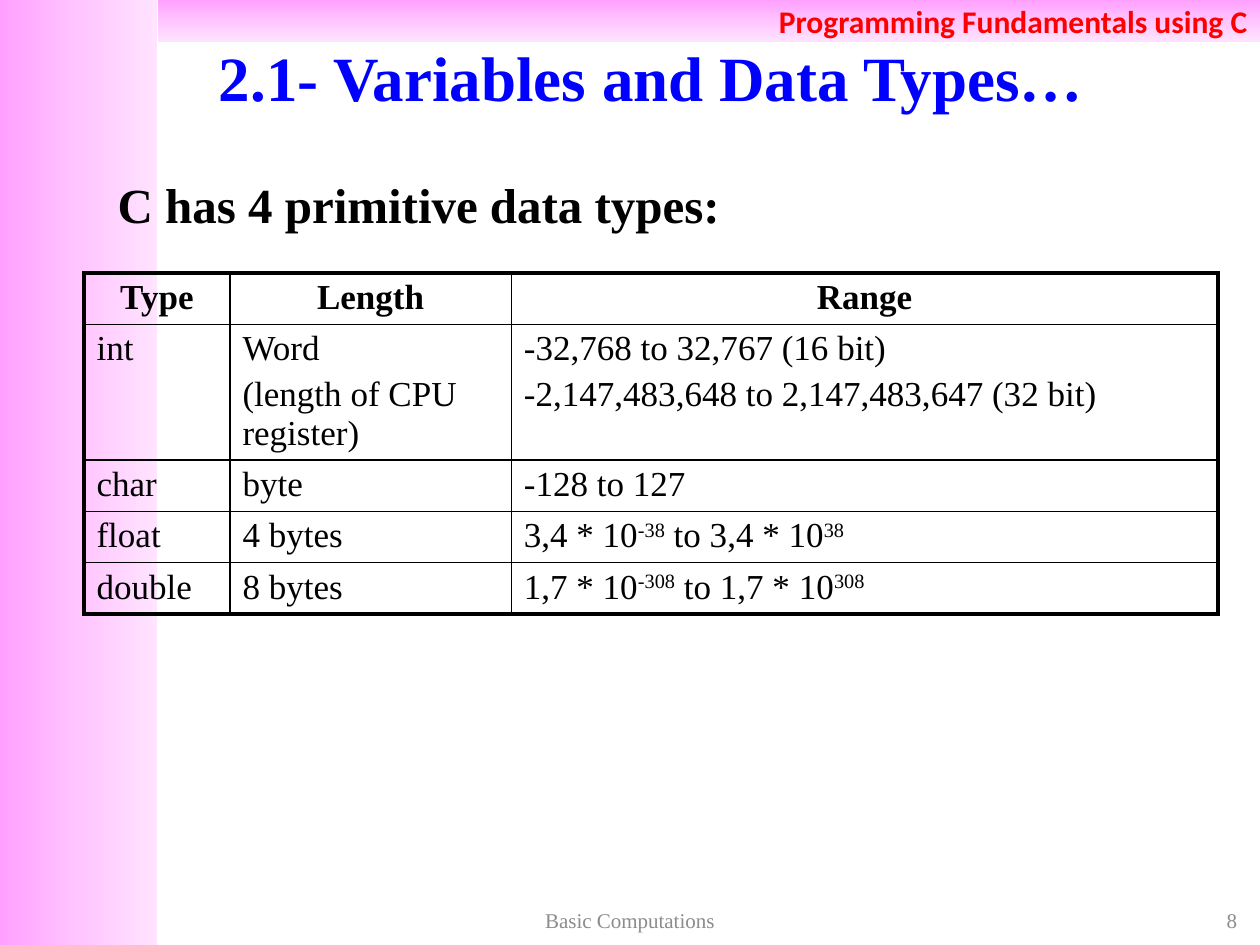
from copy import deepcopy
from dataclasses import dataclass

from lxml import etree
from pptx import Presentation
from pptx.dml.color import RGBColor
from pptx.enum.shapes import MSO_SHAPE
from pptx.enum.text import MSO_ANCHOR, MSO_AUTO_SIZE, PP_ALIGN
from pptx.oxml.ns import qn
from pptx.util import Emu, Inches, Pt

RECTANGLE = MSO_SHAPE.RECTANGLE
TOP, MIDDLE = MSO_ANCHOR.TOP, MSO_ANCHOR.MIDDLE
LEFT, CENTER = PP_ALIGN.LEFT, PP_ALIGN.CENTER
RIGHT, JUSTIFY = PP_ALIGN.RIGHT, PP_ALIGN.JUSTIFY
NO_AUTOFIT = MSO_AUTO_SIZE.NONE

GRID_COLUMNS = 120
SLIDE_WIDTH, SLIDE_HEIGHT = Inches(10), Inches(7.5)
SERIF, SANS = "Times New Roman", "Calibri"
BLACK, BLUE, RED, GREY = "000000", "0000FF", "FF0000", "8C8C8C"
PINKS = ("FFA0FF", "FFC5FF", "FFE3FF")
THIN, THICK = 1, 2.25
SUPERSCRIPT_MARK = "|"


@dataclass(frozen=True)
class Area:
    column: float
    row: float
    columns: float
    rows: float

    def lengths(self) -> tuple:
        return tuple(map(grid, (self.column, self.row, self.columns, self.rows)))


@dataclass(frozen=True)
class Style:
    size: float
    color: str
    align: int = LEFT
    bold: bool = False
    font: str = SERIF


@dataclass(frozen=True)
class Band:
    area: Area
    angle: int


@dataclass(frozen=True)
class Caption:
    text: str
    area: Area
    style: Style


BANDS = (
    Band(Area(0, 0, 15, 90), 0),
    Band(Area(15, 0, 105, 4), 270),
)
COURSE = Style(18, RED, RIGHT, True, SANS)
TITLE = Caption("2.1- Variables and Data Types…", Area(10, 3.6, 104, 7.4),
                Style(36, BLUE, CENTER, True))
INTRO = Caption("C has 4 primitive data types:", Area(10, 16, 103, 7),
                Style(28, BLACK, JUSTIFY, True))
FOOTERS = (
    Caption("Basic Computations", Area(41, 86, 38, 3.2), Style(12, GREY, CENTER)),
    Caption("8", Area(91, 86, 28, 3.2), Style(12, GREY, RIGHT)),
)
TYPE_COLUMNS = (13.9, 26.8, 67.3)
TYPE_ROWS = (4.9, 12.9, 4.9, 4.9, 4.9)
TYPE_AREA = Area(8, 26, sum(TYPE_COLUMNS), sum(TYPE_ROWS))
HEADING = Style(20, BLACK, CENTER, True)
ENTRY = Style(20, BLACK)
DATA_TYPES = (
    ("Type", "Length", "Range"),
    ("int", "Word\n(length of CPU register)",
     "-32,768 to 32,767 (16 bit)\n-2,147,483,648 to 2,147,483,647 (32 bit)"),
    ("char", "byte", "-128 to 127"),
    ("float", "4 bytes", "3,4 * 10|-38| to 3,4 * 10|38"),
    ("double", "8 bytes", "1,7 * 10|-308| to 1,7 * 10|308"),
)


def grid(units: float) -> Emu:
    return Emu(round(SLIDE_WIDTH * units / GRID_COLUMNS))


def rgb(color: str) -> RGBColor:
    return RGBColor.from_string(color)


def write(frame, text: str, style: Style, anchor=MIDDLE) -> None:
    frame.word_wrap = True
    frame.vertical_anchor = anchor
    for index, line in enumerate(text.split("\n")):
        paragraph = frame.add_paragraph() if index else frame.paragraphs[0]
        paragraph.alignment = style.align
        font = paragraph.font
        font.name, font.size, font.bold = style.font, Pt(style.size), style.bold
        font.color.rgb = rgb(style.color)
        for part, words in enumerate(line.split(SUPERSCRIPT_MARK)):
            run = paragraph.add_run()
            run.text = words
            if part % 2:
                run.font._element.set("baseline", "30000")


def draw_band(slide, band: Band, depth: int):
    shape = slide.shapes.add_shape(RECTANGLE, *band.area.lengths())
    shape.shadow.inherit = False
    shape.line.fill.background()
    shape.fill.gradient()
    shape.fill.gradient_angle = band.angle
    stops = shape._element.spPr.find(qn("a:gradFill")).find(qn("a:gsLst"))
    stops.insert(1, deepcopy(stops[0]))
    for index, (stop, color) in enumerate(zip(shape.fill.gradient_stops, PINKS)):
        stop.color.rgb = rgb(color)
        stop.position = index / (len(PINKS) - 1)
    slide.shapes._spTree.insert(2 + depth, shape._element)
    return shape


def fill_placeholder(placeholder, caption: Caption, anchor) -> None:
    (placeholder.left, placeholder.top,
     placeholder.width, placeholder.height) = caption.area.lengths()
    placeholder.text_frame.auto_size = NO_AUTOFIT
    write(placeholder.text_frame, caption.text, caption.style, anchor)


def format_intro(paragraph) -> None:
    paragraph.space_before = Pt(5.6)
    properties = paragraph._p.get_or_add_pPr()
    properties.set("marL", str(Inches(0.31)))
    properties.set("indent", str(-Inches(0.31)))
    bullet = etree.Element(qn("a:buNone"))
    properties.find(qn("a:spcBef")).addnext(bullet)


def set_borders(cell, widths: dict) -> None:
    properties = cell._tc.get_or_add_tcPr()
    for index, (side, width) in enumerate(widths.items()):
        border = etree.Element(qn(f"a:ln{side}"), w=str(Pt(width)))
        fill = etree.SubElement(border, qn("a:solidFill"))
        etree.SubElement(fill, qn("a:srgbClr"), val=BLACK)
        properties.insert(index, border)


def draw_data_types(slide) -> None:
    last_row, last_column = len(TYPE_ROWS) - 1, len(TYPE_COLUMNS) - 1
    table = slide.shapes.add_table(len(TYPE_ROWS), len(TYPE_COLUMNS),
                                   *TYPE_AREA.lengths()).table
    table.first_row = table.horz_banding = False
    for column, width in zip(table.columns, TYPE_COLUMNS):
        column.width = grid(width)
    for r, entries in enumerate(DATA_TYPES):
        table.rows[r].height = grid(TYPE_ROWS[r])
        for c, text in enumerate(entries):
            cell = table.cell(r, c)
            cell.margin_top, cell.margin_bottom = Inches(0.04), Inches(0.05)
            cell.fill.background()
            write(cell.text_frame, text, ENTRY if r else HEADING, TOP)
            for paragraph in cell.text_frame.paragraphs[1:]:
                paragraph.space_before = Pt(4)
            set_borders(cell, {
                "L": THIN if c else THICK,
                "R": THICK if c == last_column else THIN,
                "T": THIN if r else THICK,
                "B": THICK if r == last_row else THIN,
            })


def main() -> None:
    deck = Presentation()
    deck.slide_width, deck.slide_height = SLIDE_WIDTH, SLIDE_HEIGHT
    slide = deck.slides.add_slide(deck.slide_layouts[1])
    side_band, top_band = (draw_band(slide, band, depth)
                           for depth, band in enumerate(BANDS))
    write(top_band.text_frame, "Programming Fundamentals using C", COURSE)
    intro = slide.placeholders[1]
    fill_placeholder(slide.shapes.title, TITLE, MIDDLE)
    fill_placeholder(intro, INTRO, TOP)
    format_intro(intro.text_frame.paragraphs[0])
    draw_data_types(slide)
    for footer in FOOTERS:
        box = slide.shapes.add_textbox(*footer.area.lengths())
        write(box.text_frame, footer.text, footer.style)
    deck.save("out.pptx")


if __name__ == "__main__":
    main()
